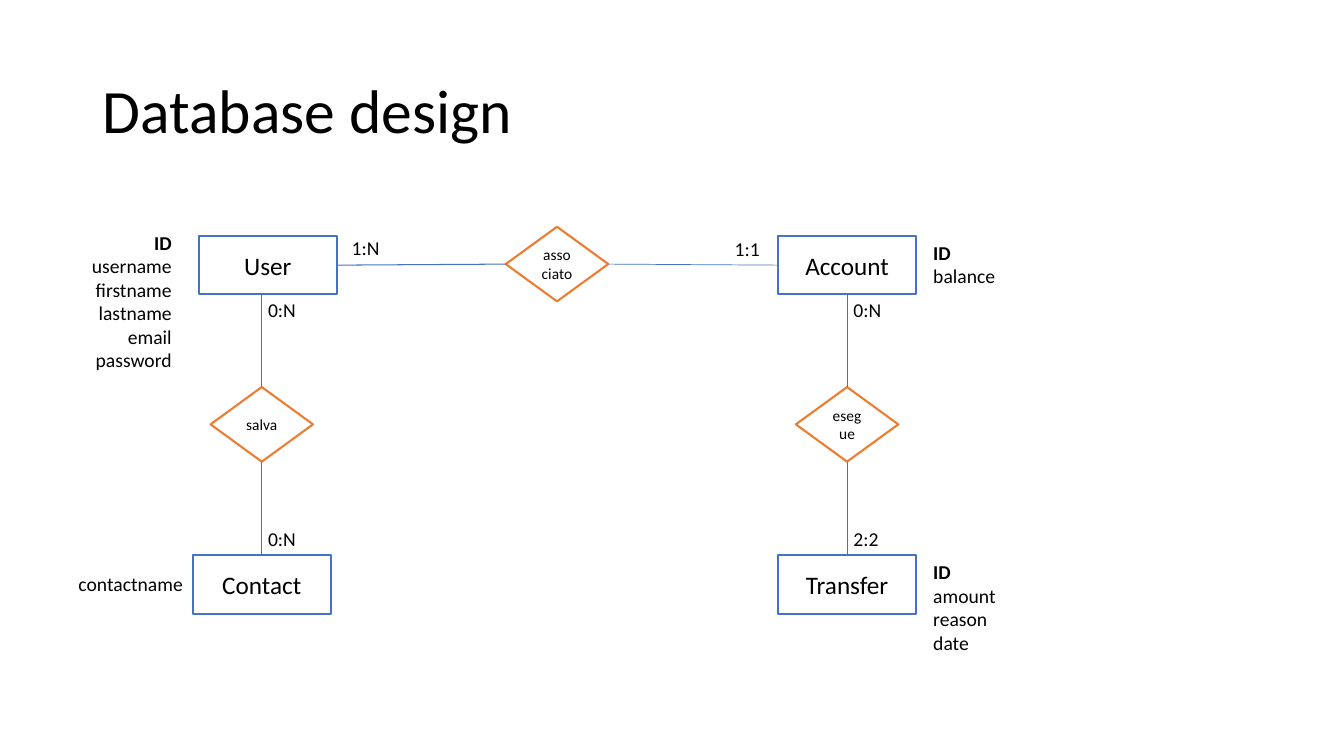
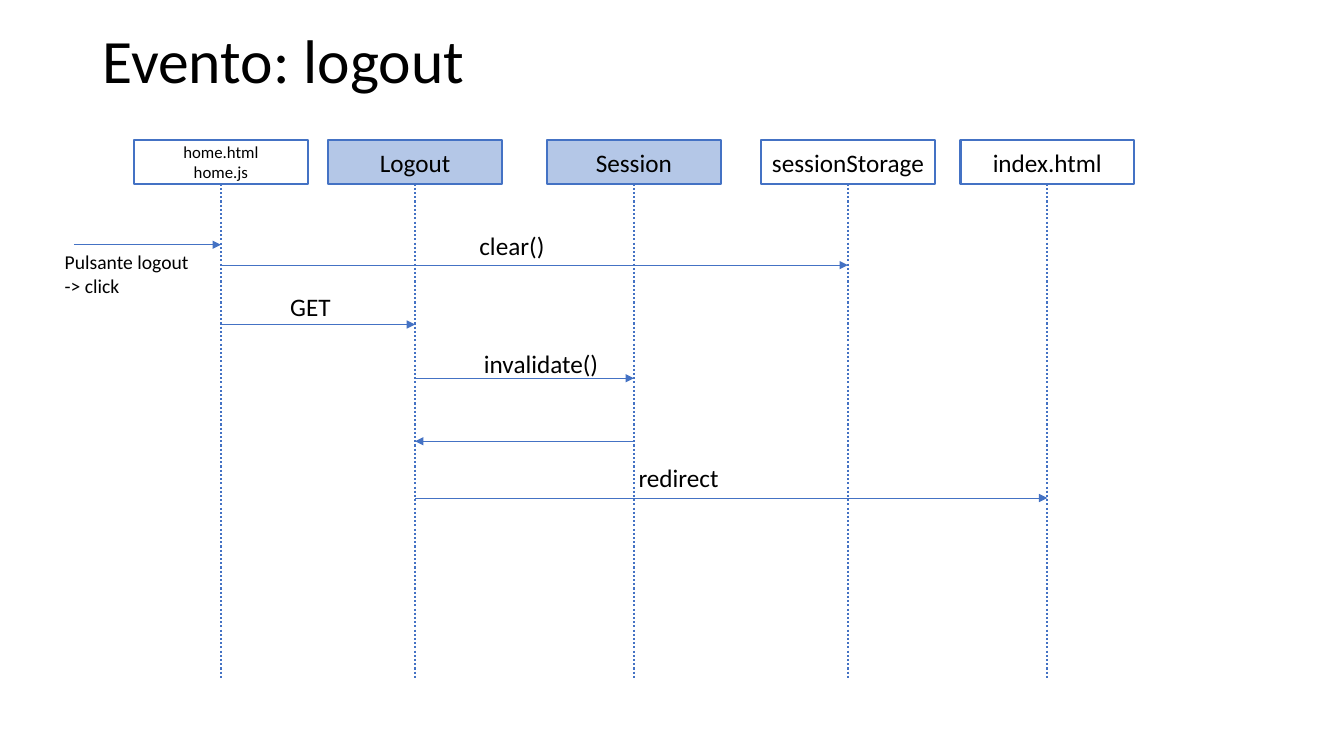
"""Build a database design slide and a logout sequence slide."""
from dataclasses import dataclass
from typing import Any, Optional

import lxml.etree
import pptx
import pptx.dml.color
import pptx.enum.dml
import pptx.enum.shapes
import pptx.enum.text
import pptx.oxml.ns
import pptx.presentation
import pptx.slide
import pptx.text.text
import pptx.util

Pt = pptx.util.Pt
RGB = pptx.dml.color.RGBColor
Align = pptx.enum.text.PP_ALIGN
Anchor = pptx.enum.text.MSO_ANCHOR
AutoSize = pptx.enum.text.MSO_AUTO_SIZE
Preset = pptx.enum.shapes.MSO_SHAPE
Dash = pptx.enum.dml.MSO_LINE


@dataclass(frozen=True)
class Theme:
    """Colours, type sizes and line widths in points."""
    font: str = "Calibri"
    ink: RGB = RGB.from_string("000000")
    blue: RGB = RGB.from_string("4472C4")
    orange: RGB = RGB.from_string("ED7D31")
    server: RGB = RGB.from_string("B4C7E7")
    title: float = 44
    body: float = 18
    note: float = 14
    small: float = 12
    relation: float = 11
    outline: float = 1.5
    link: float = 0.75
    thin: float = 0.5


@dataclass(frozen=True)
class Box:
    """Outlined shape placed by the middle of its top edge."""
    text: str
    center: float
    top: float
    width: float
    height: float
    size: float
    outline: RGB
    fill: Optional[RGB] = None
    preset: Any = Preset.RECTANGLE


@dataclass(frozen=True)
class Label:
    """Free text, wrapped unless stated otherwise."""
    text: str
    left: float
    top: float
    width: float
    height: float
    size: float
    align: Any = Align.LEFT
    wrap: bool = True


@dataclass(frozen=True)
class Line:
    """Straight line, optionally dashed or ending in an arrow."""
    x1: float
    y1: float
    x2: float
    y2: float
    width: float
    dash: Any = None
    arrow: bool = False


THEME = Theme()


def apply_format(target: Any, formats: dict[str, Any]) -> None:
    """Set each named format value on the target."""
    for name, value in formats.items():
        setattr(target, name, value)


def write_text(frame: pptx.text.text.TextFrame, text: str, size: float,
               align: Any, spacing: Optional[float] = None) -> None:
    """Write one paragraph a line, with the key attribute ID in bold."""
    for index, content in enumerate(text.split("\n")):
        paragraph = frame.add_paragraph() if index else frame.paragraphs[0]
        apply_format(paragraph, {"alignment": align, "line_spacing": spacing})
        run = paragraph.add_run()
        run.text = content
        apply_format(run.font, {"name": THEME.font, "size": Pt(size), "bold": content == "ID"})
        run.font.color.rgb = THEME.ink


def add_titled_slide(deck: pptx.presentation.Presentation, text: str,
                     top: float, height: float) -> pptx.slide.Slide:
    """Add a title-only slide and format its title."""
    slide = deck.slides.add_slide(deck.slide_layouts[5])
    title = slide.shapes.title
    apply_format(title, {"left": Pt(66), "top": Pt(top), "width": Pt(828), "height": Pt(height)})
    apply_format(title.text_frame, {"vertical_anchor": Anchor.MIDDLE, "word_wrap": True,
                                    "auto_size": AutoSize.NONE})
    write_text(title.text_frame, text, THEME.title, Align.LEFT, 0.9)
    return slide


def draw_box(slide: pptx.slide.Slide, box: Box) -> None:
    """Draw an outlined shape with centred text."""
    shape = slide.shapes.add_shape(box.preset, Pt(box.center - box.width / 2), Pt(box.top),
                                   Pt(box.width), Pt(box.height))
    shape.shadow.inherit = False
    if box.fill is None:
        shape.fill.background()
    else:
        shape.fill.solid()
        shape.fill.fore_color.rgb = box.fill
    shape.line.color.rgb = box.outline
    shape.line.width = Pt(THEME.outline)
    apply_format(shape.text_frame, {"vertical_anchor": Anchor.MIDDLE, "word_wrap": True})
    write_text(shape.text_frame, box.text, box.size, Align.CENTER)


def draw_label(slide: pptx.slide.Slide, label: Label) -> None:
    """Draw a text box that grows with its text."""
    frame = slide.shapes.add_textbox(Pt(label.left), Pt(label.top),
                                     Pt(label.width), Pt(label.height)).text_frame
    apply_format(frame, {"word_wrap": label.wrap, "auto_size": AutoSize.SHAPE_TO_FIT_TEXT})
    write_text(frame, label.text, label.size, label.align)


def draw_line(slide: pptx.slide.Slide, line: Line) -> None:
    """Draw a straight connector without shadow."""
    connector = slide.shapes.add_connector(pptx.enum.shapes.MSO_CONNECTOR.STRAIGHT,
                                           Pt(line.x1), Pt(line.y1), Pt(line.x2), Pt(line.y2))
    connector.line.color.rgb = THEME.blue
    apply_format(connector.line, {"width": Pt(line.width), "dash_style": line.dash})
    qn = pptx.oxml.ns.qn
    properties = connector.element.spPr
    if line.arrow:
        lxml.etree.SubElement(properties.find(qn("a:ln")), qn("a:tailEnd"), type="triangle")
    lxml.etree.SubElement(properties, qn("a:effectLst"))


def build_database(deck: pptx.presentation.Presentation) -> None:
    """Draw the entity-relationship diagram."""
    slide = add_titled_slide(deck, "Database design", 28.75, 104.4)
    left_axis, middle_axis, right_axis = 187, 397.9, 605.1
    upper, relation_top, lower = 168.5, 276.5, 396.5
    entity_width, entity_height = 98.7, 41.8
    relation_width, relation_height = 73.2, 53.3
    user_axis = left_axis + 4.3
    for name, center, top in (("User", user_axis, upper), ("Account", right_axis, upper),
                              ("Contact", left_axis, lower), ("Transfer", right_axis, lower)):
        draw_box(slide, Box(name, center, top, entity_width, entity_height,
                            THEME.body, THEME.blue))
    for name, center, top in (("associato", middle_axis, 162), ("salva", left_axis, relation_top),
                              ("esegue", right_axis, relation_top)):
        draw_box(slide, Box(name, center, top, relation_width, relation_height,
                            THEME.relation, THEME.orange, preset=Preset.DIAMOND))

    entity_middle, relation_middle = upper + entity_height / 2, 162 + relation_height / 2
    draw_line(slide, Line(user_axis + entity_width / 2, entity_middle,
                          middle_axis - relation_width / 2, relation_middle, THEME.link))
    draw_line(slide, Line(middle_axis + relation_width / 2, relation_middle,
                          right_axis - entity_width / 2, entity_middle, THEME.thin))
    for axis in (left_axis, right_axis):
        for start, end in ((upper + entity_height, relation_top),
                           (relation_top + relation_height, lower)):
            draw_line(slide, Line(axis, start, axis, end, THEME.link))

    for cardinality, left, top in (("1:N", 244.1, 165), ("1:1", 517.7, 165.5),
                                   ("0:N", left_axis - 2.6, 209.5),
                                   ("0:N", left_axis - 2.6, 372.7),
                                   ("0:N", right_axis - 2.6, 209.5),
                                   ("2:2", right_axis - 2.6, 372.7)):
        draw_label(slide, Label(cardinality, left, top, 38.2, 24.2, THEME.note))
    for attributes in (
        Label("ID\nusername\nfirstname\nlastname\nemail\npassword", 49.2, 161.2, 80.6, 108.7,
              THEME.note, Align.RIGHT),
        Label("ID\nbalance", 659.5, upper, 80.6, 41.2, THEME.note),
        Label("contactname", 39.2, 404.7, 98.6, 24.2, THEME.note, Align.RIGHT),
        Label("ID\namount\nreason\ndate", 659.5, lower, 80.6, 75, THEME.note),
    ):
        draw_label(slide, attributes)


def build_logout(deck: pptx.presentation.Presentation) -> None:
    """Draw the logout sequence diagram."""
    slide = add_titled_slide(deck, "Evento: logout", 7.75, 75)
    home, logout, session, storage, index = 157.8, 296.5, 452.8, 605.7, 748.1
    head_top, head_height, lifeline_end = 100.2, 31, 484.5
    for name, center, size, fill in (
        ("home.html\nhome.js", home, THEME.small, None),
        ("Logout", logout, THEME.body, THEME.server),
        ("Session", session, THEME.body, THEME.server),
        ("sessionStorage", storage, THEME.body, None),
        ("index.html", index, THEME.body, None),
    ):
        draw_line(slide, Line(center, head_top + head_height, center, lifeline_end,
                              THEME.outline, Dash.ROUND_DOT))
        draw_box(slide, Box(name, center, head_top, 124, head_height, size, THEME.blue, fill))

    for sender, receiver, y in ((52.8, home, 174.8), (home, storage, 189.4),
                                (home, logout, 231.8), (logout, session, 270.2),
                                (session, logout, 315.2), (logout, index, 355.7)):
        draw_line(slide, Line(sender, y, receiver, y, THEME.thin, arrow=True))
    for message, left, top, width in (("clear()", 335.3, 160.8, 62), ("GET", 200.2, 204.8, 44),
                                      ("invalidate()", 338.6, 245.5, 97),
                                      ("redirect", 449, 326.9, 73)):
        draw_label(slide, Label(message, left, top, width, 29, THEME.body, wrap=False))
    draw_label(slide, Label("Pulsante logout\n-> click", 39.1, 175, 104.4, 41.2,
                            THEME.note, wrap=False))


def main() -> None:
    """Build and save the deck."""
    deck = pptx.Presentation()
    apply_format(deck, {"slide_width": Pt(960), "slide_height": Pt(540)})
    build_database(deck)
    build_logout(deck)
    deck.save("out.pptx")


main()
